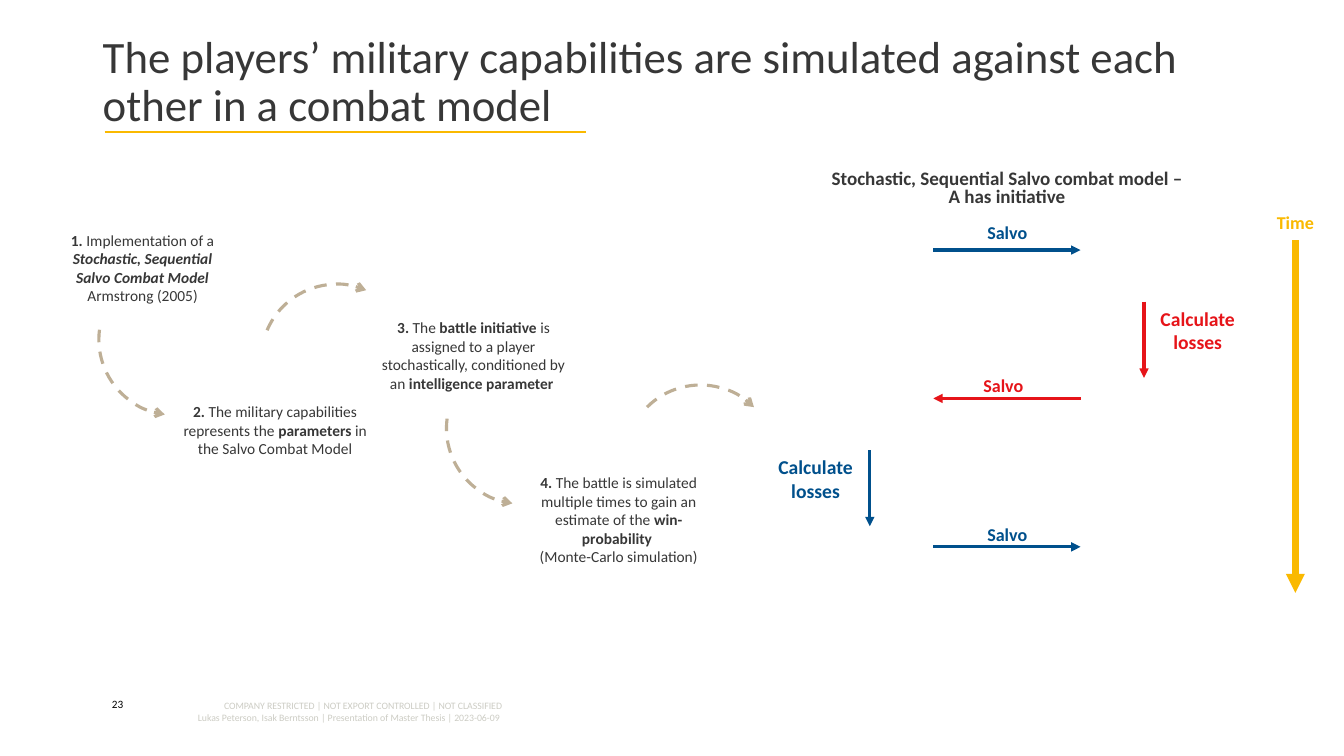
from lxml.etree import SubElement
from pptx import Presentation
from pptx.dml.color import RGBColor
from pptx.enum.dml import MSO_LINE
from pptx.enum.shapes import MSO_CONNECTOR, MSO_SHAPE
from pptx.enum.text import MSO_ANCHOR, PP_ALIGN
from pptx.oxml.ns import qn
from pptx.util import Cm, Pt

DARK, GOLD, BLUE, RED = "373737", "FAB900", "00508C", "E61419"
SAND, GREY, BLACK = "BEAF96", "CCCCC4", "000000"
LABEL_W, LABEL_H = 3.73, 0.74

STEPS = [  # offset in the region, size, paragraphs of (text, style)
    (0, 0, 4.45, 3.53,
     [[("1.", "b"), (" Implementation of a ", ""),
       ("Stochastic, Sequential Salvo Combat Model", "bi")],
      [("Armstrong (2005)", "")]]),
    (2.9, 4.32, 5.33, 2.67,
     [[("2. ", "b"), ("The military capabilities represents the ", ""),
       ("parameters", "b"), (" in the Salvo Combat Model", "")]]),
    (7.9, 2.21, 5.33, 2.64,
     [[("3. ", "b"), ("The ", ""), ("battle initiative ", "b"),
       ("is assigned to a player stochastically, conditioned by an ", ""),
       ("intelligence parameter ", "b")]]),
    (11.56, 6.12, 5.33, 3.71,
     [[("4. ", "b"),
       ("The battle is simulated multiple times to gain an estimate of the ", ""),
       ("win-probability ", "b")],
      [("(Monte-Carlo simulation)", "")]]),
]
ARCS = [  # offset in the region, rotation, mirrored
    (5.21, 1.47, 293, False),
    (1.12, 0.96, 277.4, True),
    (9.88, 3.2, 277.4, True),
    (14.38, 4.01, 315, False),
]


def rgb(color):
    return RGBColor.from_string(color)


def add_text(s, box, paragraphs, size, color, align=PP_ALIGN.CENTER, spacing=None):
    """Add a text box; each paragraph is a list of (text, style) runs."""
    tf = s.shapes.add_textbox(*map(Cm, box)).text_frame
    tf.word_wrap = True
    for i, runs in enumerate(paragraphs):
        p = tf.add_paragraph() if i else tf.paragraphs[0]
        p.alignment = align
        if spacing:
            p.line_spacing = spacing
        for text, style in runs:
            r = p.add_run()
            r.text = text
            r.font.name = "Calibri"
            r.font.size = Pt(size)
            r.font.color.rgb = rgb(color)
            r.font.bold = "b" in style
            r.font.italic = "i" in style
    return tf


def add_label(s, x, y, text, color):
    add_text(s, (x, y, LABEL_W, LABEL_H), [[(text, "b")]], 12.9, color, spacing=0.8)


def add_tail(line, kind):
    SubElement(line._get_or_add_ln(), qn("a:tailEnd"), type=kind)


def add_line(s, x1, y1, x2, y2, color, width, arrow=True):
    c = s.shapes.add_connector(MSO_CONNECTOR.STRAIGHT, *map(Cm, (x1, y1, x2, y2)))
    c.line.color.rgb = rgb(color)
    c.line.width = Pt(width)
    if arrow:
        add_tail(c.line, "triangle")
    SubElement(c._element.spPr, qn("a:effectLst"))


def add_arc(s, x, y, rotation, mirrored):
    sp = s.shapes.add_shape(MSO_SHAPE.ARC, Cm(x), Cm(y), Cm(3.81), Cm(3.81))
    sp.shadow.inherit = False
    sp.fill.background()
    sp.line.color.rgb = rgb(SAND)
    sp.line.width = Pt(2.25)
    sp.line.dash_style = MSO_LINE.DASH
    add_tail(sp.line, "arrow")
    sp.rotation = rotation
    if mirrored:
        sp._element.spPr.xfrm.set("flipH", "1")


def add_title(s, x, y, w, h):
    add_line(s, x + 0.3, y + 3.08, x + 12.42, y + 3.08, GOLD, 1.5, arrow=False)
    title = ("The players’ military capabilities are simulated against each other "
             "in a combat model")
    tf = add_text(s, (x, y, w, h), [[(title, "")]], 32, DARK, PP_ALIGN.LEFT, 0.9)
    tf.vertical_anchor = MSO_ANCHOR.MIDDLE


def add_steps(s, x, y):
    for dx, dy, w, h, paragraphs in STEPS:
        add_text(s, (x + dx, y + dy, w, h), paragraphs, 11, DARK)
    for dx, dy, rotation, mirrored in ARCS:
        add_arc(s, x + dx, y + dy, rotation, mirrored)


def add_salvo_model(s, x, y):
    """Draw alternating salvos, with the losses computed between them."""
    add_text(s, (x + 1.63, y, 10.11, 1.27),
             [[("Stochastic, Sequential Salvo combat model –", "b")],
              [("A has initiative", "b")]], 13.6, DARK, spacing=0.8)
    left, right, pitch = x + 4.83, x + 8.54, 3.74
    salvos = [(left, right, BLUE, 0, 0.74),
              (right, left, RED, -0.1, 0.63),
              (left, right, BLUE, 0, 0.61)]
    for i, (start, end, color, shift, rise) in enumerate(salvos):
        row = y + 2.13 + i * pitch
        add_line(s, start, row, end, row, color, 2.25)
        add_label(s, left + shift, row - rise, "Salvo", color)

    losses = [(right + 1.6, x + 9.63, RED), (left - 1.6, x, BLUE)]
    for i, (arrow_x, label_x, color) in enumerate(losses):
        top = y + 3.43 + i * pitch
        add_line(s, arrow_x, top, arrow_x, top + 1.92, color, 2.25)
        add_text(s, (label_x, top, LABEL_W, 1.93),
                 [[("Calculate", "b")], [("losses", "b")]], 14, color)


def add_time_axis(s, x, y, h):
    add_label(s, x, y, "Time", GOLD)
    axis = x + LABEL_W / 2
    add_line(s, axis, y + LABEL_H, axis, y + h, GOLD, 4.5)


def add_footer(s, x, y):
    tf = add_text(
        s, (x + 0.4, y, 9.68, 0.97),
        [[("COMPANY RESTRICTED | NOT EXPORT CONTROLLED | NOT CLASSIFIED", "")],
         [("Lukas Peterson, Isak Berntsson | Presentation of Master Thesis | 2023-06-09 ", "")]],
        7, GREY, PP_ALIGN.RIGHT)
    tf.margin_left = tf.margin_right = tf.margin_top = tf.margin_bottom = 0
    tf.vertical_anchor = MSO_ANCHOR.MIDDLE
    add_text(s, (x, y, 4.65, 1.02), [[("23", "")]], 8, BLACK, PP_ALIGN.LEFT)


def main():
    prs = Presentation()
    prs.slide_width, prs.slide_height = Cm(33.87), Cm(19.05)
    s = prs.slides.add_slide(prs.slide_layouts[6])
    add_title(s, 2.34, 0.25, 29.21, 3.68)
    add_steps(s, 1.37, 5.69)
    add_salvo_model(s, 18.69, 4.17)
    add_time_axis(s, 30.78, 5.31, 9.63)
    add_footer(s, 2.57, 17.45)
    prs.save("out.pptx")


if __name__ == "__main__":
    main()
